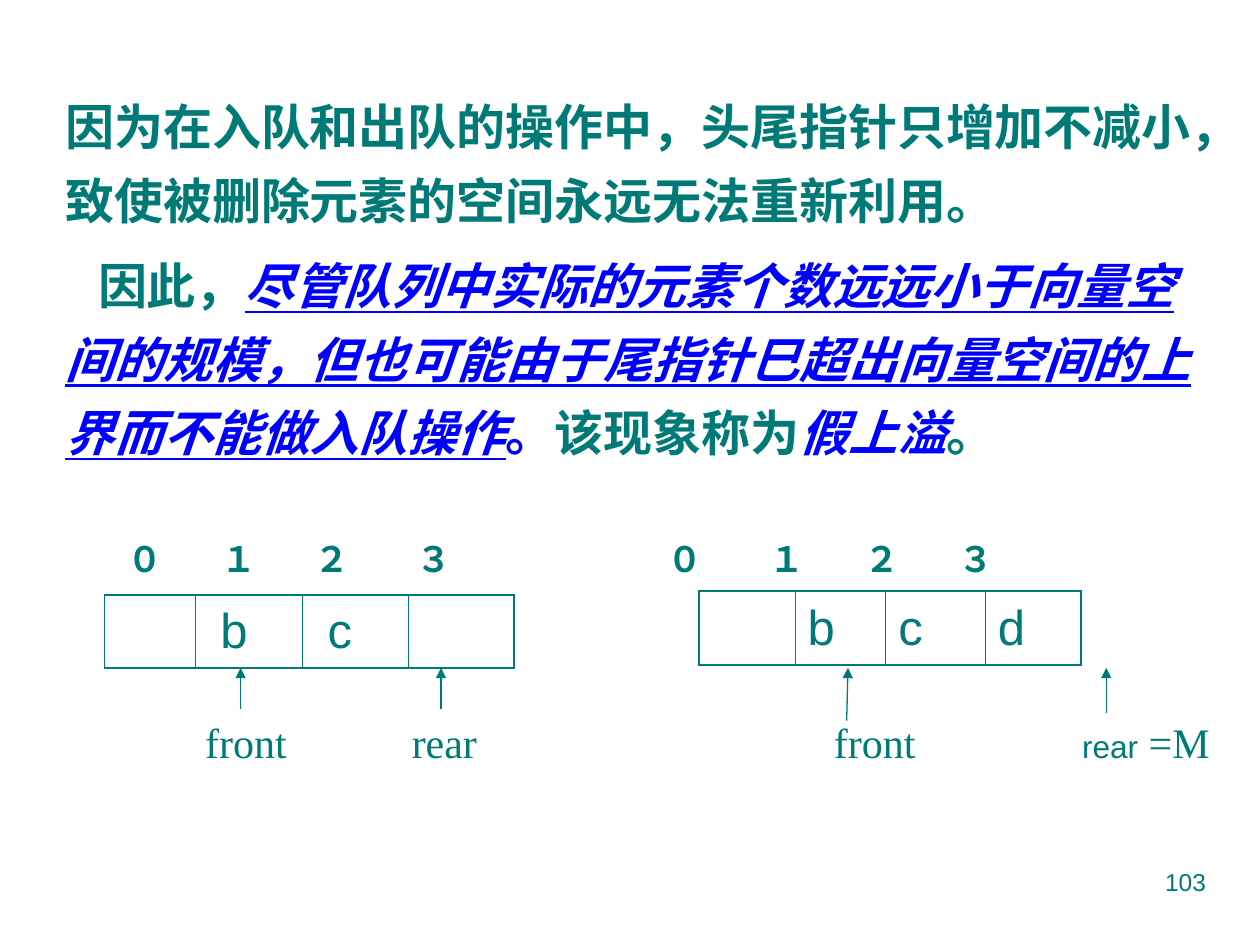
from lxml import etree
from pptx import Presentation
from pptx.dml.color import RGBColor
from pptx.enum.shapes import MSO_CONNECTOR
from pptx.enum.text import MSO_ANCHOR, PP_ALIGN
from pptx.oxml.ns import qn
from pptx.util import Inches, Pt

STRAIGHT = MSO_CONNECTOR.STRAIGHT
MIDDLE = MSO_ANCHOR.MIDDLE
LEFT, RIGHT = PP_ALIGN.LEFT, PP_ALIGN.RIGHT
TEAL = RGBColor(0x00, 0x7A, 0x77)
BLUE = RGBColor(0x00, 0x00, 0xFF)
SANS, SERIF, CHINESE = "Arial", "Times New Roman", "Noto Sans CJK SC"
OUTER_LINE, INNER_LINE = Pt(1.08), Pt(0.45)


class QueueSlide:
    """Draws text, queue cells and pointer arrows in one style."""

    def __init__(self, slide):
        self.slide = slide

    def format_run(self, run, size, name=SANS, color=TEAL, bold=False, italic=False, underline=False):
        font = run.font
        font.size, font.name = Pt(size), name
        font.bold, font.italic, font.underline = bold, italic, underline
        font.color.rgb = color
        properties = run._r.get_or_add_rPr()
        etree.SubElement(properties, qn("a:ea"), typeface=CHINESE)

    def text(self, left, top, width, height, paragraphs, tabs=(), tab_align="l",
             align=LEFT, line_spacing=None, space_between=0, last_indent=0):
        box = self.slide.shapes.add_textbox(Inches(left), Inches(top), Inches(width), Inches(height))
        frame = box.text_frame
        frame.word_wrap = True
        for index, runs in enumerate(paragraphs):
            paragraph = frame.add_paragraph() if index else frame.paragraphs[0]
            properties = paragraph._p.get_or_add_pPr()
            if tabs:
                tab_list = etree.SubElement(properties, qn("a:tabLst"))
                for position in tabs:
                    etree.SubElement(tab_list, qn("a:tab"), pos=str(Inches(position)), algn=tab_align)
            paragraph.alignment = align
            if line_spacing:
                paragraph.line_spacing = line_spacing
            if index:
                paragraph.space_before = Pt(space_between)
                properties.set("indent", str(Inches(last_indent)))
            for content, style in runs:
                run = paragraph.add_run()
                run.text = content
                self.format_run(run, **style)

    def border(self, cell, side, width):
        line = etree.SubElement(cell._tc.get_or_add_tcPr(), qn(f"a:{side}"), w=str(width))
        fill = etree.SubElement(line, qn("a:solidFill"))
        etree.SubElement(fill, qn("a:srgbClr"), val=str(TEAL))

    def queue(self, left, top, height, widths, values, text_margin):
        frame = self.slide.shapes.add_table(
            1, len(widths), Inches(left), Inches(top), Inches(sum(widths)), Inches(height))
        table = frame.table
        table.first_row = table.horz_banding = False
        table.rows[0].height = Inches(height)
        last = len(widths) - 1
        for index, (width, value) in enumerate(zip(widths, values)):
            table.columns[index].width = Inches(width)
            cell = table.cell(0, index)
            self.border(cell, "lnL", INNER_LINE if index else OUTER_LINE)
            self.border(cell, "lnR", INNER_LINE if index < last else OUTER_LINE)
            self.border(cell, "lnT", OUTER_LINE)
            self.border(cell, "lnB", OUTER_LINE)
            cell.fill.background()
            cell.vertical_anchor = MIDDLE
            cell.margin_left = Inches(text_margin)
            if value:
                cell.text_frame.text = value
                self.format_run(cell.text_frame.paragraphs[0].runs[0], 28)

    def arrow(self, start_x, start_y, end_x, end_y):
        connector = self.slide.shapes.add_connector(
            STRAIGHT, Inches(start_x), Inches(start_y), Inches(end_x), Inches(end_y))
        connector.line.color.rgb = TEAL
        connector.line.width = Pt(0.75)
        etree.SubElement(connector.line._get_or_add_ln(), qn("a:tailEnd"), type="triangle")
        etree.SubElement(connector._element.spPr, qn("a:effectLst"))


def main():
    presentation = Presentation()
    presentation.slide_width, presentation.slide_height = Inches(10), Inches(7.5)
    page = QueueSlide(presentation.slides.add_slide(presentation.slide_layouts[6]))

    body = dict(size=28, name=CHINESE, bold=True)
    blue = dict(body, color=BLUE)
    term = dict(blue, italic=True)
    page.text(0.42, 0.6, 9.25, 3.12, [
        [("因为在入队和出队的操作中，头尾指针只增加不减小，致使被删除元素的空间永远无法重新利用。", body)],
        [("因此，", body),
         ("尽管队列中实际的元素个数远远小于向量空间的规模，但也可能由于尾指针巳超出向量空间的上界而不能做入队操作",
          dict(term, underline=True)),
         ("。", blue), ("该现象称为", body), ("假上溢", term), ("。", body)],
    ], line_spacing=1.25, space_between=7, last_indent=0.26)

    page.text(0.51, 4.22, 8.27, 0.47,
              [[("\t０\t１\t２\t３\t０\t１\t２\t３", dict(size=20, bold=True))]],
              tabs=(0.54, 1.29, 2.03, 2.84, 4.83, 5.64, 6.39, 7.14), tab_align="ctr")

    page.queue(0.83, 4.72, 0.58, (0.72, 0.85, 0.84, 0.84), ("", "b", "c", ""), 0.2)
    page.queue(5.55, 4.69, 0.59, (0.76, 0.72, 0.79, 0.76), ("", "b", "c", "d"), 0.1)

    for start_x, start_y, end_x in ((1.91, 5.63, 1.91), (3.5, 5.63, 3.5),
                                    (6.72, 5.72, 6.73), (8.78, 5.66, 8.78)):
        page.arrow(start_x, start_y, end_x, 5.3)

    pointer = dict(size=24, name=SERIF)
    page.text(0.75, 5.64, 9, 0.5,
              [[("\tfront\trear\tfront\t", pointer), ("rear", dict(size=18)), (" =M", pointer)]],
              tabs=(0.78, 2.42, 5.77, 7.74))
    page.text(7.17, 6.83, 2.5, 0.52, [[("103", dict(size=14))]], align=RIGHT)

    presentation.save("out.pptx")


if __name__ == "__main__":
    main()
